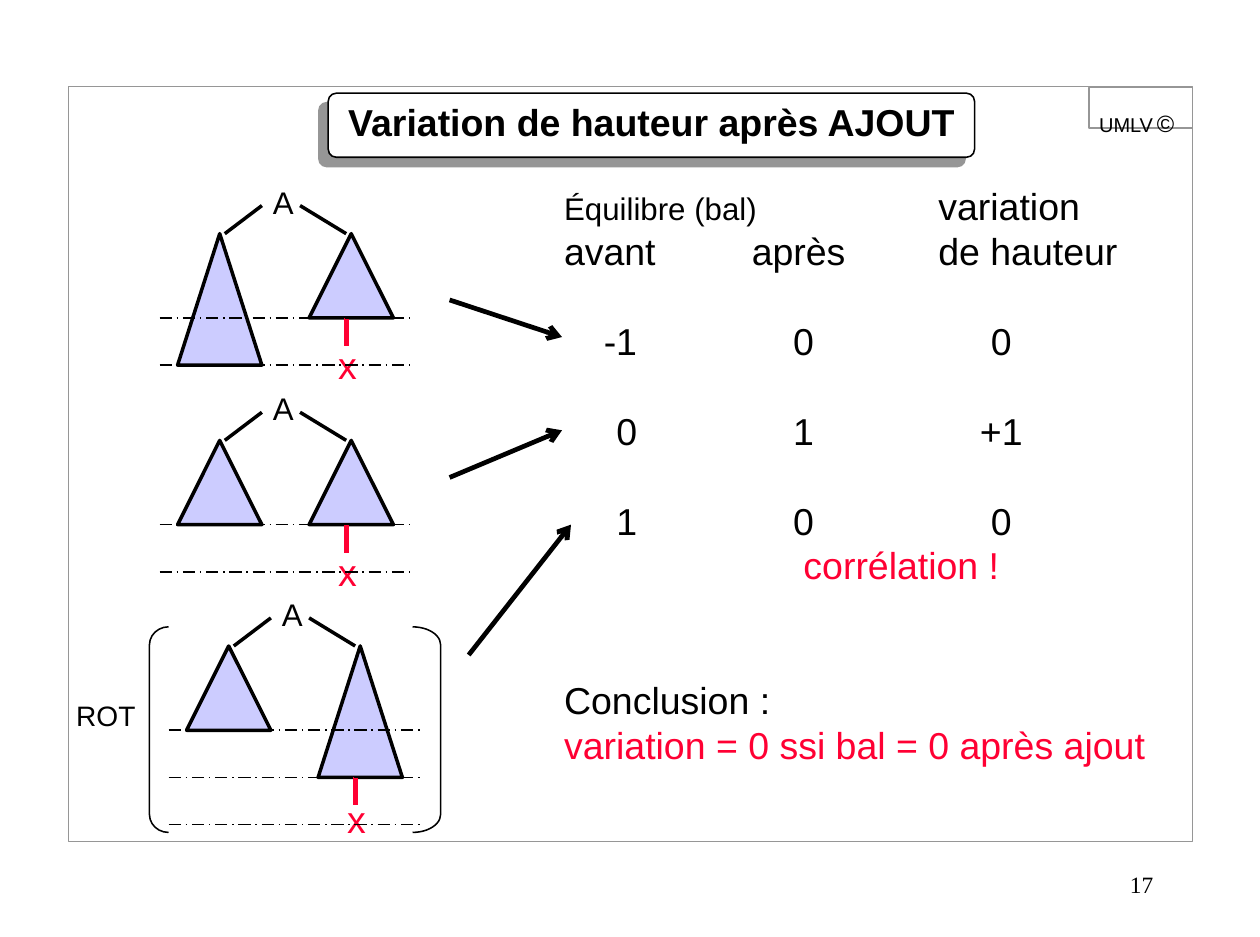
from lxml.etree import SubElement
from pptx import Presentation
from pptx.dml.color import RGBColor
from pptx.enum.dml import MSO_LINE as Dash
from pptx.enum.shapes import MSO_CONNECTOR as Conn, MSO_SHAPE as Shape
from pptx.enum.text import MSO_ANCHOR as Anchor, PP_ALIGN as Align
from pptx.oxml.ns import qn
from pptx.util import Inches, Pt

# Content
TITLE = "Variation de hauteur après AJOUT"
PAGE = "17"
ROOT, NEW_NODE, ROTATION = "A", "x", "ROT"
# Each tree: origin, left and right subtree heights, number of levels, drop of the new node
LOW, HIGH = 0.75, 1.17
TREES = [
    ((1.42, 1.58), HIGH, LOW, 2, 0.17),
    ((1.42, 3.42), LOW, LOW, 2, 0.17),
    ((1.5, 5.25), LOW, HIGH, 3, 0.12),
]
ARROWS = [((4, 2.67), (5, 3)), ((4, 4.25), (5, 3.83)), ((4.17, 5.83), (5.08, 4.67))]
BRACKETS = [(Shape.LEFT_BRACKET, 1.33, 0.17), (Shape.RIGHT_BRACKET, 3.67, 0.25)]
BRACKET_TOP, BRACKET_HEIGHT, BRACKET_CURVE = 5.58, 1.83, 0.16

THEME = {
    "ink": "000000", "paper": "FFFFFF", "grey": "969696",
    "accent": "FF0033", "tree": "CCCCFF",
    "sans": "Arial", "serif": "Times New Roman",
    "body": 24, "label": 20, "small": 18, "page": 15,
    "mark": 22, "copyright": 26,
    "thin": 1, "medium": 2.25, "thick": 3,
}
LINE_PITCH = 28.8

# Text rows: runs, tab stops, empty lines above
HEAD_TABS = [("l", 1.67), ("l", 3.33)]
VALUE_TABS = [("r", 0.65), ("ctr", 2.13), ("ctr", 3.89)]
RED = {"color": THEME["accent"]}
BALANCE = [
    ([("Équilibre (bal)", {"size": THEME["label"]}), ("\tvariation", {})], [("l", 3.33)], 0),
    ([("avant\taprès\tde hauteur", {})], HEAD_TABS, 0),
    ([("\t-1\t0\t0", {})], VALUE_TABS, 1),
    ([("\t0\t1\t+1", {})], VALUE_TABS, 1),
    ([("\t1\t0\t0", {})], VALUE_TABS, 1),
    ([("\tcorrélation !", RED)], [("l", 2.13)], 0),
    ([("Conclusion :", {})], [], 2),
    ([("variation = 0 ssi bal = 0 après ajout", RED)], [], 0),
]

prs = Presentation()
prs.slide_width, prs.slide_height = Inches(11.21), Inches(8.34)
s = prs.slides.add_slide(prs.slide_layouts[6])


def rgb(name):
    return RGBColor.from_string(THEME.get(name, name))


def add_text(box, text, size=THEME["body"], color="ink", font="sans", bold=False,
             align=Align.LEFT, anchor=Anchor.TOP, wrap=False, inset=0.1,
             pitch=None, baseline=None):
    """Text is a string, or a list of (runs, tab stops, empty lines above)."""
    tf = s.shapes.add_textbox(*map(Inches, box)).text_frame
    tf.word_wrap, tf.vertical_anchor = wrap, anchor
    tf.margin_left = tf.margin_right = Inches(inset)
    tf.margin_top = tf.margin_bottom = Inches(0.05)
    rows = [([(text, {})], [], 0)] if isinstance(text, str) else text
    for i, (runs, tabs, gap) in enumerate(rows):
        p = tf.add_paragraph() if i else tf.paragraphs[0]
        p.alignment = align
        if pitch:
            p.line_spacing = Pt(pitch)
        if gap:
            p.space_before = Pt(gap * pitch)
        if tabs:
            stops = SubElement(p._p.get_or_add_pPr(), qn("a:tabLst"))
            for kind, pos in tabs:
                SubElement(stops, qn("a:tab"), pos=str(Inches(pos)), algn=kind)
        for words, fmt in runs:
            r = p.add_run()
            r.text = words
            r.font.name = THEME[fmt.get("font", font)]
            r.font.size = Pt(fmt.get("size", size))
            r.font.bold = bold
            r.font.color.rgb = rgb(fmt.get("color", color))
            if baseline:
                r._r.get_or_add_rPr().set("baseline", str(baseline))


def add_shape(kind, box, fill=None, line="ink", width="thin", adjust=None):
    sp = s.shapes.add_shape(kind, *map(Inches, box))
    sp.shadow.inherit = False
    if fill:
        sp.fill.solid()
        sp.fill.fore_color.rgb = rgb(fill)
    else:
        sp.fill.background()
    sp.line.color.rgb, sp.line.width = rgb(line), Pt(THEME[width])
    if adjust is not None:
        sp.adjustments[0] = adjust
    return sp


def add_line(start, end, color="ink", width="medium", dash=None, arrow=False):
    ln = s.shapes.add_connector(Conn.STRAIGHT, *map(Inches, (*start, *end)))
    ln.line.color.rgb, ln.line.width = rgb(color), Pt(THEME[width])
    if dash:
        ln.line.dash_style = dash
    if arrow:
        SubElement(ln.line._get_or_add_ln(), qn("a:tailEnd"), type="arrow")
    SubElement(ln._element.spPr, qn("a:effectLst"))


def add_tree(origin, left, right, levels, drop):
    def at(dx, dy):
        return origin[0] + dx, origin[1] + dy

    add_text((*at(0.91, 0), 0.39, 0.43), ROOT, size=THEME["label"])
    for dx, height in ((0.16, left), (1.33, right)):
        add_shape(Shape.ISOSCELES_TRIANGLE, (*at(dx, 0.5), 0.75, height),
                  fill="tree", width="medium")
    for top, bottom in ((0.91, 0.58), (1.25, 1.66)):
        add_line(at(top, 0.25), at(bottom, 0.5))
    base = 0.5 + right
    add_line(at(1.66, base), at(1.66, base + 0.25), color="accent", width="thick")
    add_text((*at(1.49, base + drop), 0.36, 0.5), NEW_NODE, color="accent")
    for level in range(levels):
        y = 1.25 + 0.42 * level
        add_line(at(0, y), at(2.25, y), width="thin", dash=Dash.LONG_DASH_DOT)


# Page frame and marks
add_text((8.03, 7.59, 2.34, 0.56), PAGE, size=THEME["page"], font="serif",
         align=Align.RIGHT, anchor=Anchor.MIDDLE, wrap=True, inset=0.11)
add_shape(Shape.RECTANGLE, (9.69, 0.78, 0.92, 0.36), line="grey")
add_shape(Shape.RECTANGLE, (0.61, 0.77, 10, 6.72), line="grey")
mark = [("UMLV", {}), (" ", {"size": THEME["small"], "font": "serif"}),
        ("©", {"size": THEME["copyright"]})]
add_text((9.67, 0.75, 0.9, 0.54), [(mark, [], 0)], size=THEME["mark"],
         inset=0.11, baseline=-6000)

# Title plate with its hard shadow
plate = add_shape(Shape.ROUNDED_RECTANGLE, (2.92, 0.83, 5.75, 0.57),
                  fill="paper", adjust=0.125)
shadow = SubElement(plate._element.spPr.find(qn("a:effectLst")), qn("a:outerShdw"),
                    blurRad="0", dist=str(Pt(8.5)), dir=str(135 * 60000),
                    algn="ctr", rotWithShape="0")
SubElement(shadow, qn("a:srgbClr"), val=THEME["grey"])
add_text((3, 0.83, 5.67, 0.5), TITLE, bold=True, wrap=True)

# Balance rows and conclusion
add_text((4.92, 1.58, 5.5, 5.3), BALANCE, wrap=True, pitch=LINE_PITCH)

# Trees, rotation brackets and arrows
add_text((0.58, 6.17, 0.73, 0.4), ROTATION, size=THEME["small"])
for kind, x, width in BRACKETS:
    add_shape(kind, (x, BRACKET_TOP, width, BRACKET_HEIGHT), adjust=BRACKET_CURVE / width)
for tree in TREES:
    add_tree(*tree)
for start, end in ARROWS:
    add_line(start, end, width="thick", arrow=True)

prs.save("out.pptx")
